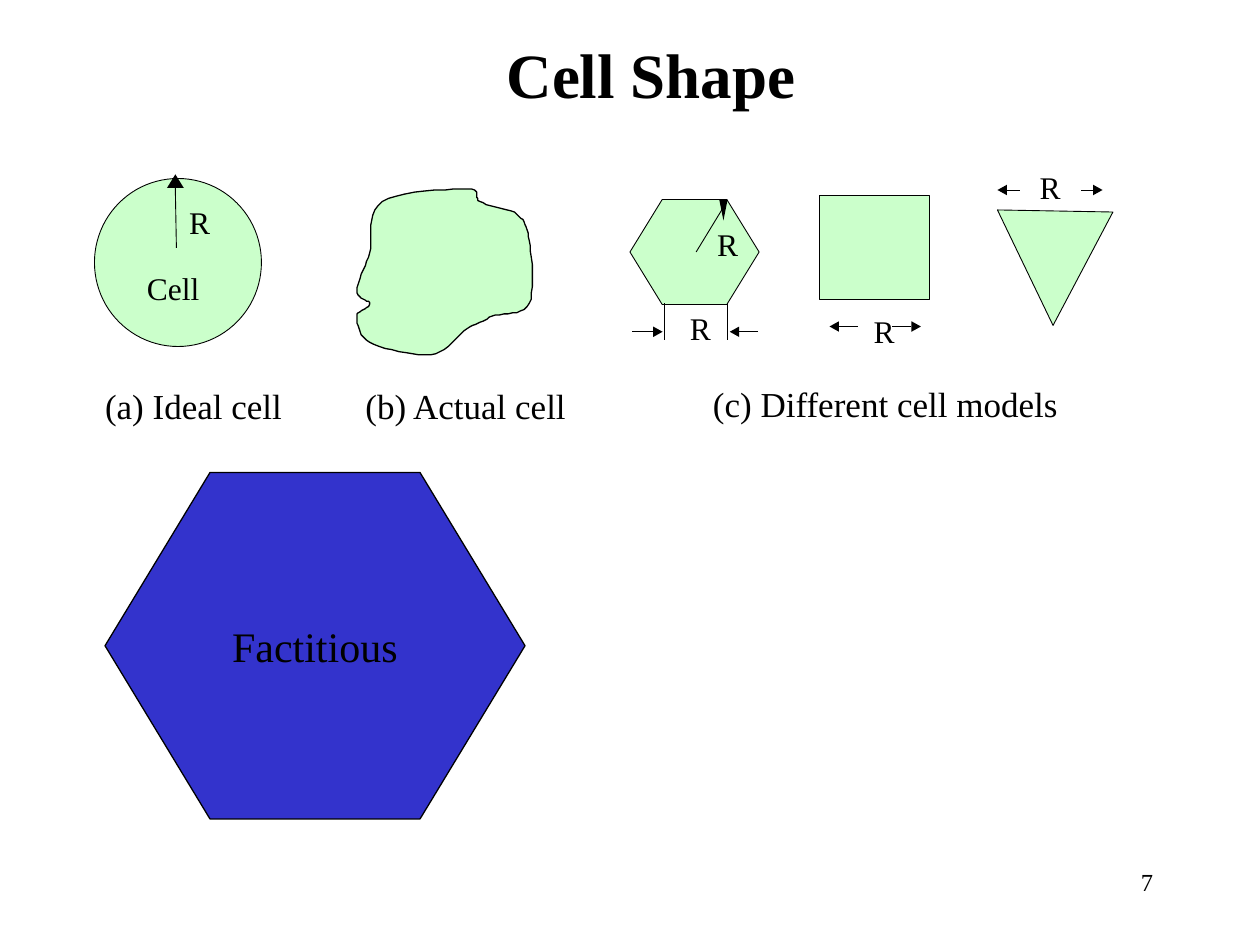
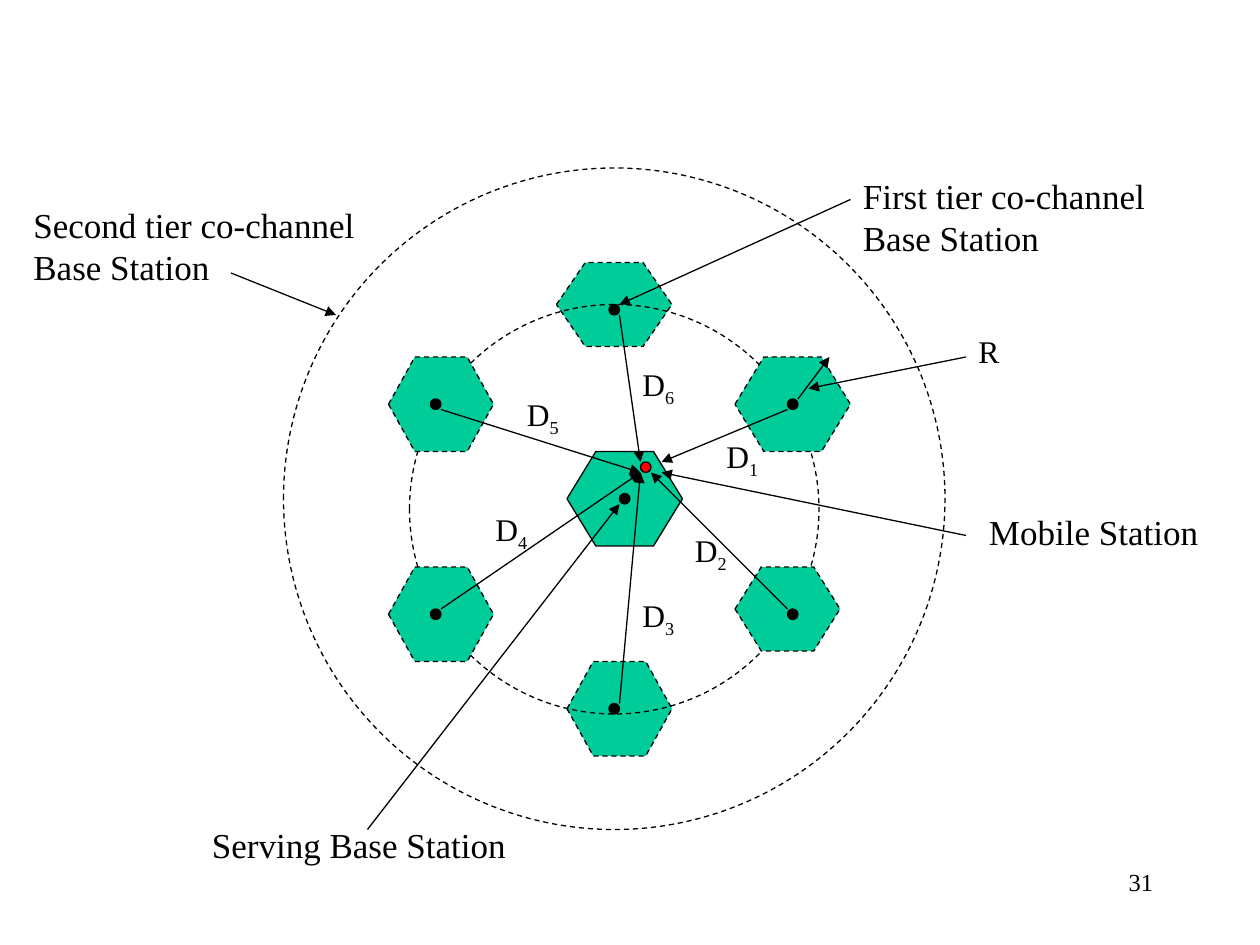
from typing import NamedTuple, Optional

from lxml.etree import SubElement
from pptx import Presentation
from pptx.dml.color import RGBColor
from pptx.enum.dml import MSO_LINE
from pptx.enum.shapes import MSO_CONNECTOR, MSO_SHAPE
from pptx.enum.text import MSO_ANCHOR, PP_ALIGN
from pptx.oxml.ns import qn
from pptx.util import Pt

PX = 7620  # EMU per px, 120 px to the inch
FONT = "Times New Roman"
BLACK, RED = "000000", "FF0000"
PALE_GREEN, BLUE, TEAL = "99FF99", "3333CC", "00CC99"
THIN, NORMAL = 0.5, 0.75
Point = tuple[int, int]


class Frame(NamedTuple):
    left: int
    top: int
    width: int
    height: int

    def emu(self) -> list[int]:
        return [side * PX for side in self]


class Look(NamedTuple):
    fill: Optional[str] = None
    line: Optional[float] = NORMAL
    dashed: bool = False
    opacity: int = 100


class Label(NamedTuple):
    text: str
    frame: Frame
    size: int
    subscript: str = ""


class Arrow(NamedTuple):
    start: Point
    end: Point


CELL = Look(PALE_GREEN, THIN, opacity=50)
CO_CELL = Look(TEAL, dashed=True)
TIER = Look(dashed=True)
SOLID = Look(BLACK, None)


# Shared drawing functions
def color(value: str) -> RGBColor:
    return RGBColor.from_string(value)


def style(shape, look: Look):
    shape.shadow.inherit = False
    if look.fill:
        shape.fill.solid()
        shape.fill.fore_color.rgb = color(look.fill)
        if look.opacity < 100:
            tint = shape.fill._xPr.find(qn("a:solidFill"))[0]
            SubElement(tint, qn("a:alpha")).set("val", str(look.opacity * 1000))
    else:
        shape.fill.background()
    if look.line is None:
        shape.line.fill.background()
        return
    shape.line.color.rgb = color(BLACK)
    shape.line.width = Pt(look.line)
    if look.dashed:
        shape.line.dash_style = MSO_LINE.DASH


def add_preset(page, kind, frame: Frame, look: Look):
    shape = page.shapes.add_shape(kind, *frame.emu())
    if kind == MSO_SHAPE.HEXAGON:
        # The slanted sides take a quarter of the width at each end
        shape.adjustments[0] = frame.width / 4 / min(frame.width, frame.height)
    style(shape, look)
    return shape


def add_outline(page, points: list[Point], look: Look) -> None:
    builder = page.shapes.build_freeform(*points[0], scale=PX)
    builder.add_line_segments(points[1:], close=True)
    style(builder.convert_to_shape(), look)


def add_line(page, start: Point, end: Point, width: float = NORMAL,
             arrow: bool = False) -> None:
    ends = [value * PX for value in (*start, *end)]
    connector = page.shapes.add_connector(MSO_CONNECTOR.STRAIGHT, *ends)
    connector.line.color.rgb = color(BLACK)
    connector.line.width = Pt(width)
    if arrow:
        SubElement(connector.line._ln, qn("a:tailEnd")).set("type", "triangle")
    SubElement(connector._element.spPr, qn("a:effectLst"))


def add_span(para, text: str, size: int, bold: bool = False):
    span = para.add_run()
    span.text = text
    span.font.name = FONT
    span.font.size = Pt(size)
    span.font.bold = bold
    span.font.color.rgb = color(BLACK)
    return span


def add_label(page, label: Label, inset: bool = False,
              align: PP_ALIGN = PP_ALIGN.LEFT) -> None:
    box = page.shapes.add_textbox(*label.frame.emu()).text_frame
    box.word_wrap = inset
    box.margin_left = box.margin_right = 12 * PX if inset else 0
    box.margin_top = box.margin_bottom = 6 * PX if inset else 0
    para = box.paragraphs[0]
    para.alignment = align
    add_span(para, label.text, label.size)
    if label.subscript:
        span = add_span(para, label.subscript, label.size)
        span._r.get_or_add_rPr().set("baseline", "-25000")


def add_page_number(page, number: str) -> None:
    add_label(page, Label(number, Frame(860, 820, 250, 60), 14), True, PP_ALIGN.RIGHT)


def add_headed_arrow(page, arrow: Arrow, length: int = 9, half: int = 5) -> None:
    """Draw a thin horizontal or vertical arrow with a solid triangular head."""
    (x1, y1), (x2, y2) = arrow
    if y1 == y2:
        base = x2 - length if x2 > x1 else x2 + length
        neck, corners = (base, y2), [(base, y2 - half), (base, y2 + half)]
    else:
        base = y2 - length if y2 > y1 else y2 + length
        neck, corners = (x2, base), [(x2 - half, base), (x2 + half, base)]
    add_line(page, arrow.start, neck, THIN)
    add_outline(page, [arrow.end, *corners], SOLID)


def smooth_outline(start: Point, curves: list[tuple], steps: int = 10) -> list[Point]:
    """Turn cubic curves (two controls and an end each) into a fine polyline."""
    points = [start]
    for control1, control2, end in curves:
        origin = points[-1]
        for step in range(1, steps + 1):
            t = step / steps
            u = 1 - t
            points.append(tuple(
                u**3 * a + 3 * u * u * t * b + 3 * u * t * t * c + t**3 * d
                for a, b, c, d in zip(origin, control1, control2, end)))
    return points


# Cell Shape slide
ACTUAL_CELL = [
    ((430, 180), (379, 182), (364, 192)), ((348, 203), (355, 227), (352, 241)),
    ((348, 254), (340, 269), (340, 277)), ((340, 286), (352, 286), (352, 289)),
    ((352, 294), (340, 295), (340, 301)), ((340, 307), (340, 319), (352, 326)),
    ((364, 332), (395, 340), (410, 338)), ((426, 336), (436, 319), (445, 313)),
    ((455, 307), (460, 306), (469, 301)), ((479, 298), (498, 301), (504, 289)),
    ((510, 277), (506, 242), (504, 229)), ((502, 215), (500, 210), (492, 204)),
    ((485, 198), (466, 197), (457, 192)), ((450, 188), (461, 180), (445, 180)),
]
SHAPE_LABELS = [
    Label("Cell", Frame(140, 256, 50, 36), 18),
    *(Label("R", Frame(left, top, 20, 36), 18) for left, top in
      [(180, 193), (683, 214), (657, 294), (832, 297), (990, 160)]),
    Label("(a) Ideal cell", Frame(100, 366, 169, 40), 20),
    Label("(b) Actual cell", Frame(348, 366, 193, 40), 20),
    Label("(c) Different cell models", Frame(679, 364, 329, 40), 20),
]
SIZE_ARROWS = [
    Arrow((817, 311), (790, 311)), Arrow((850, 311), (877, 311)),
    Arrow((602, 316), (631, 316)), Arrow((722, 316), (695, 316)),
    Arrow((971, 181), (950, 181)), Arrow((1030, 181), (1050, 181)),
]


def build_cell_shape(deck) -> None:
    page = deck.slides.add_slide(deck.slide_layouts[5])
    title = page.shapes.title
    title.left, title.top, title.width, title.height = Frame(110, 20, 1020, 100).emu()
    title.text_frame.vertical_anchor = MSO_ANCHOR.MIDDLE
    para = title.text_frame.paragraphs[0]
    para.alignment = PP_ALIGN.CENTER
    add_span(para, "Cell Shape", 36, bold=True)

    # Ideal, actual and model cells
    add_preset(page, MSO_SHAPE.OVAL, Frame(90, 170, 159, 160), CELL)
    add_outline(page, smooth_outline((445, 180), ACTUAL_CELL),
                CELL._replace(line=NORMAL))
    add_preset(page, MSO_SHAPE.HEXAGON, Frame(600, 190, 123, 100), CELL)
    add_preset(page, MSO_SHAPE.RECTANGLE, Frame(780, 186, 105, 99), CELL)
    add_outline(page, [(1003, 310), (1060, 202), (950, 200)], CELL)

    # Radius and size marks
    add_headed_arrow(page, Arrow((168, 236), (167, 166)), length=13, half=8)
    for arrow in SIZE_ARROWS:
        add_headed_arrow(page, arrow)
    for x in (633, 693):
        add_line(page, (x, 289), (x, 324), THIN)
    add_line(page, (663, 240), (688, 199), THIN)
    add_outline(page, [(685, 190), (693, 190), (689, 210)], SOLID)
    for label in SHAPE_LABELS:
        add_label(page, label)

    # Factitious cell
    factitious = add_preset(page, MSO_SHAPE.HEXAGON, Frame(100, 450, 400, 330), Look(BLUE))
    box = factitious.text_frame
    box.word_wrap = False
    box.vertical_anchor = MSO_ANCHOR.MIDDLE
    box.paragraphs[0].alignment = PP_ALIGN.CENTER
    add_span(box.paragraphs[0], "Factitious", 24)
    add_page_number(page, "7")


# Co-channel interference slide
CELLS_UNDER_RING = [Frame(530, 250, 110, 80), Frame(540, 630, 100, 90)]
CELLS_OVER_RING = [Frame(700, 340, 110, 90), Frame(700, 540, 100, 80),
                   Frame(370, 340, 100, 90), Frame(370, 540, 100, 90)]
BASE_STATIONS = [(590, 470), (410, 380), (580, 290), (410, 580),
                 (580, 670), (750, 580), (750, 380)]
MOBILE_STATION = (610, 440)
ARROWS = [
    # Distances to the mobile station
    Arrow((420, 390), (610, 450)), Arrow((590, 300), (610, 440)),
    Arrow((420, 580), (610, 450)), Arrow((590, 670), (610, 450)),
    Arrow((750, 580), (620, 450)), Arrow((750, 390), (630, 440)),
    # Pointers from the labels, and the cell radius
    Arrow((920, 510), (630, 450)), Arrow((350, 790), (590, 480)),
    Arrow((810, 190), (590, 290)), Arrow((220, 260), (320, 300)),
    Arrow((760, 380), (790, 340)), Arrow((920, 340), (770, 370)),
]
DISTANCE_PLACES = [(680, 410), (650, 500), (600, 562), (460, 480), (490, 370), (600, 342)]
TIER_LABELS = [
    Label("Mobile Station", Frame(930, 480, 260, 53), 20),
    Label("Serving Base Station", Frame(190, 778, 310, 53), 20),
    Label("First tier co-channel Base Station", Frame(810, 160, 300, 92), 20),
    Label("Second tier co-channel Base Station", Frame(20, 188, 340, 92), 20),
    Label("R", Frame(920, 310, 50, 48), 18),
    *(Label("D", Frame(left, top, 70, 53), 18, str(number))
      for number, (left, top) in enumerate(DISTANCE_PLACES, 1)),
]


def build_co_channel(deck) -> None:
    page = deck.slides.add_slide(deck.slide_layouts[6])

    # Cells and tiers
    add_preset(page, MSO_SHAPE.HEXAGON, Frame(540, 430, 110, 90), Look(TEAL))
    for frame in CELLS_UNDER_RING:
        add_preset(page, MSO_SHAPE.HEXAGON, frame, CO_CELL)
    add_preset(page, MSO_SHAPE.OVAL, Frame(390, 290, 390, 390), TIER)
    for frame in CELLS_OVER_RING:
        add_preset(page, MSO_SHAPE.HEXAGON, frame, CO_CELL)
    add_preset(page, MSO_SHAPE.OVAL, Frame(270, 160, 630, 630), TIER)

    # Stations
    for corner in BASE_STATIONS:
        add_preset(page, MSO_SHAPE.OVAL, Frame(*corner, 10, 10), Look(BLACK))
    add_preset(page, MSO_SHAPE.OVAL, Frame(*MOBILE_STATION, 10, 10), Look(RED))

    # Arrows and labels
    for arrow in ARROWS:
        add_line(page, arrow.start, arrow.end, arrow=True)
    for label in TIER_LABELS:
        add_label(page, label, inset=True)
    add_page_number(page, "31")


def main() -> None:
    deck = Presentation()
    deck.slide_width, deck.slide_height = 1200 * PX, 900 * PX
    build_cell_shape(deck)
    build_co_channel(deck)
    deck.save("out.pptx")


if __name__ == "__main__":
    main()
